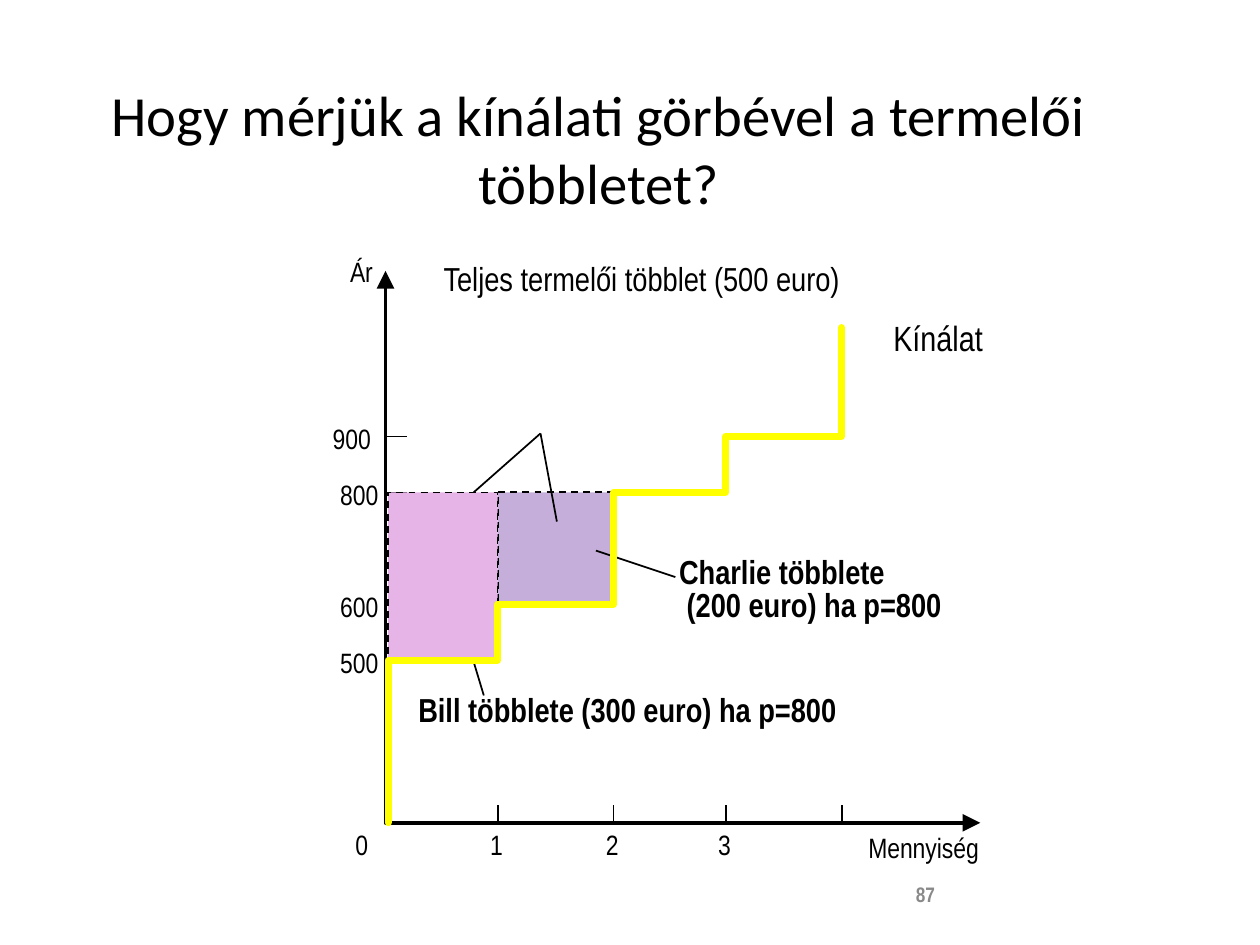
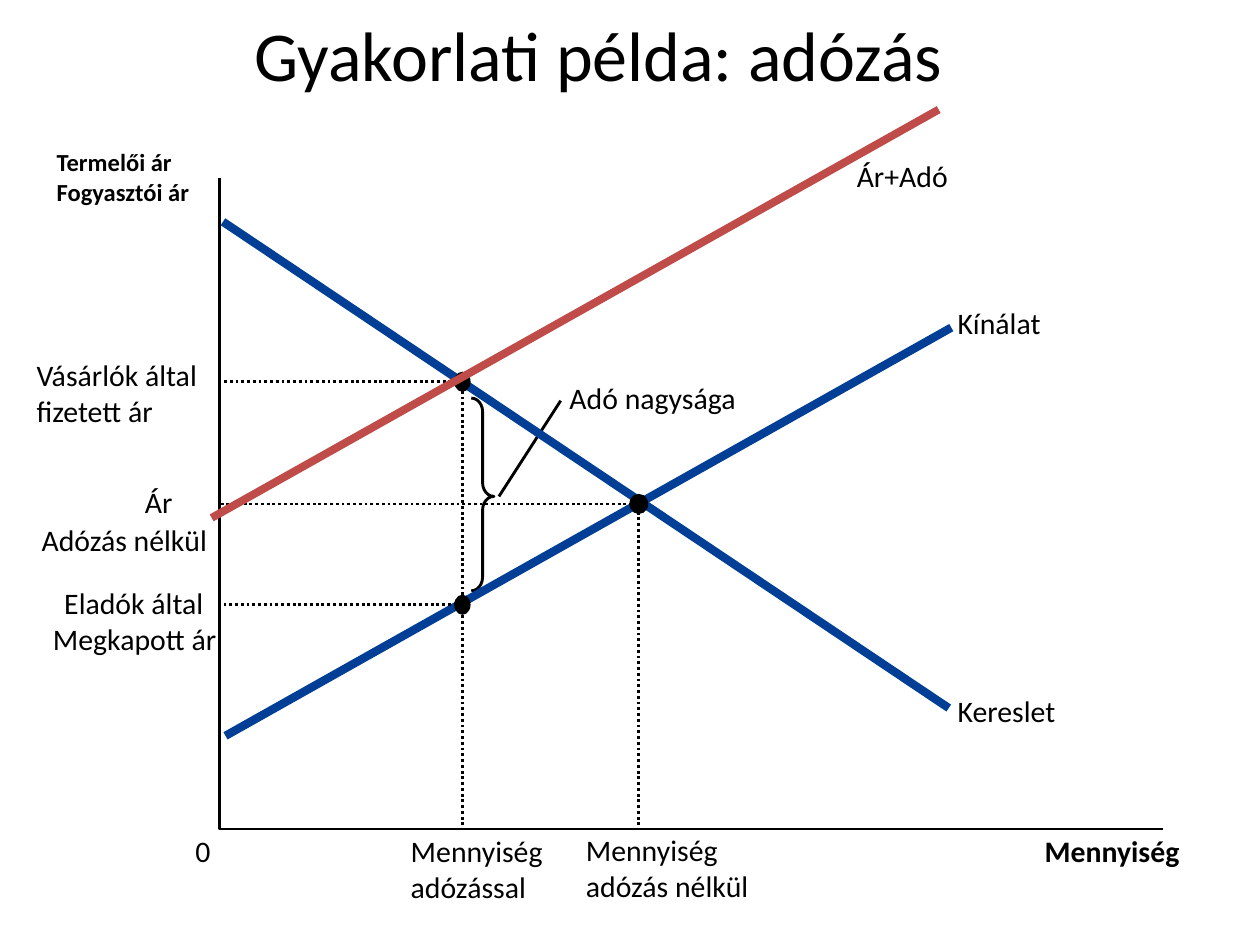
from lxml import etree
from pptx import Presentation
from pptx.dml.color import RGBColor
from pptx.enum.dml import MSO_LINE
from pptx.enum.shapes import MSO_CONNECTOR, MSO_SHAPE
from pptx.enum.text import MSO_ANCHOR, MSO_AUTO_SIZE, PP_ALIGN
from pptx.oxml.ns import qn
from pptx.util import Inches, Pt

LEFT, CENTER, RIGHT = PP_ALIGN.LEFT, PP_ALIGN.CENTER, PP_ALIGN.RIGHT
TOP, MIDDLE = MSO_ANCHOR.TOP, MSO_ANCHOR.MIDDLE
DASH, DOT = MSO_LINE.DASH, MSO_LINE.ROUND_DOT
RECTANGLE, OVAL, BRACE = MSO_SHAPE.RECTANGLE, MSO_SHAPE.OVAL, MSO_SHAPE.RIGHT_BRACE

COLORS = {
    "ink": "000000", "paper": "FFFFFF", "page": "898989",
    "bill": "E6B4E6", "charlie": "C5AED9", "steps": "FFFF00",
    "curve": "003F95", "taxed": "BF4C48",
}
NARROW, SANS = "Arial Narrow", "Calibri"
THIN, AXIS, MEDIUM = 1, 2, 1.63

# Producer surplus: the supply curve rises by one step per unit sold
STEP_PRICES = [500, 600, 800, 900]
STEP_X = [3.08, 3.95, 4.87, 5.76, 6.68]
SUPPLY_TOP, BASE_Y, PRICE_AXIS_X = 2.6, 6.53, 3.06
MARKET_PRICE = 800
PRICE_LABELS = [(500, 2.7), (600, 2.7), (800, 2.7), (900, 2.64)]
QUANTITY_LABELS = [("0", 2.82), ("1", 3.89), ("2", 4.81), ("3", 5.7)]
AXIS_NAMES = [("Mennyiség", (6.77, 6.63, 1.0, 0.23)), ("Ár", (2.56, 2.06, 0.4, 0.23))]
BILL = ("Bill többlete (300 euro) ha p=800", (3.32, 5.52, 3.49, 0.28))
CHARLIE = ("Charlie többlete\n (200 euro) ha p=800", (5.39, 4.42, 2.1, 0.54))
TOTAL = ("Teljes termelői többlet (500 euro)", (3.52, 2.1, 3.29, 0.27))
SUPPLY = ("Kínálat", (7.09, 2.51, 0.72, 0.34))
BILL_POINTER = ((3.68, 4.99), (3.84, 5.52))
CHARLIE_POINTER = ((4.73, 4.37), (5.36, 4.58))
TOTAL_POINTERS = [((4.29, 3.44), (3.53, 4.11)), ((4.29, 3.44), (4.42, 4.14))]

# Taxation: curves, equilibrium points and their labels
ORIGIN, PRICE_TOP, QUANTITY_END = (1.74, 6.58), 1.41, 9.23
GUIDE_BASE = 6.55
DEMAND_CURVE = ((1.77, 1.76), (7.53, 5.62))
SUPPLY_CURVE = ((7.55, 2.6), (1.79, 5.84))
TAXED_CURVE = ((7.45, 0.87), (1.68, 4.11))
UNTAXED, BUYERS, SELLERS = (5.07, 4.0), (3.67, 3.03), (3.67, 4.8)
DOTS = [(UNTAXED, 0.15), (BUYERS, 0.13), (SELLERS, 0.13)]
TAX_POINTER = ((3.96, 3.94), (4.45, 3.18))
TAX_LABELS = [  # text, box, size, bold
    ("Adó nagysága", (4.52, 3.01, 1.33, 0.29), 17, False),
    ("Mennyiség", (8.29, 6.61, 1.08, 0.29), 17, True),
    ("0", (1.55, 6.61, 0.12, 0.29), 17, False),
    ("Termelői ár\nFogyasztói ár", (0.45, 1.17, 1.06, 0.47), 14, True),
    ("Eladók által", (0.51, 4.64, 1.11, 0.29), 17, False),
    ("Megkapott ár", (0.42, 4.93, 1.31, 0.29), 17, False),
    ("Kereslet", (7.6, 5.5, 0.78, 0.29), 17, False),
    ("Kínálat", (7.6, 2.42, 0.66, 0.29), 17, False),
    ("Ár", (1.15, 3.84, 0.28, 0.69), 17, False),
    ("Adózás nélkül", (0.33, 4.14, 1.32, 0.29), 17, False),
    ("Mennyiség\nadózás nélkül", (4.65, 6.6, 1.3, 0.57), 17, False),
    ("Mennyiség\nadózással", (3.26, 6.61, 1.05, 0.57), 17, False),
    ("Ár+Adó", (6.8, 1.25, 0.73, 0.29), 17, False),
]
BUYERS_LABEL = ("Vásárlók által fizetett ár", (0.29, 2.83, 1.46, 0.57))


def rgb(name):
    return RGBColor.from_string(COLORS[name])


def inches(values):
    return [Inches(v) for v in values]


def style_line(shape, color, width, dash=None):
    shape.line.color.rgb = rgb(color)
    shape.line.width = Pt(width)
    if dash is not None:
        shape.line.dash_style = dash


def write(slide, text, box, size, font, bold=False, color="ink", align=LEFT,
          spacing=None, wrap=False, anchor=TOP, margins=(0, 0), grow=True):
    """Add a text box with one paragraph per line of text."""
    frame = slide.shapes.add_textbox(*inches(box)).text_frame
    frame.word_wrap = wrap
    frame.auto_size = MSO_AUTO_SIZE.SHAPE_TO_FIT_TEXT if grow else MSO_AUTO_SIZE.NONE
    frame.vertical_anchor = anchor
    frame.margin_left = frame.margin_right = Inches(margins[0])
    frame.margin_top = frame.margin_bottom = Inches(margins[1])
    for number, line in enumerate(text.split("\n")):
        paragraph = frame.add_paragraph() if number else frame.paragraphs[0]
        paragraph.alignment = align
        if spacing:
            paragraph.line_spacing = spacing
        run = paragraph.add_run()
        run.text = line
        run.font.size, run.font.name, run.font.bold = Pt(size), font, bold
        run.font.color.rgb = rgb(color)


def write_title(slide, text, top, size, anchor, spacing=None):
    write(slide, text, (0.5, top, 8.5, 1.25), size, SANS, align=CENTER, spacing=spacing,
          wrap=True, anchor=anchor, margins=(0.1, 0.05), grow=False)


def draw_line(slide, ends, color="ink", width=THIN, dash=None):
    start, end = ends
    line = slide.shapes.add_connector(MSO_CONNECTOR.STRAIGHT, *inches(start + end))
    style_line(line, color, width, dash)
    etree.SubElement(line._element.spPr, qn("a:effectLst"))


def draw_path(slide, points, color="ink", width=MEDIUM, dash=None, arrows=False, round_cap=False):
    """Draw an open, unfilled outline through the points."""
    start, *rest = [inches(point) for point in points]
    builder = slide.shapes.build_freeform(*start)
    builder.add_line_segments(rest, close=False)
    shape = builder.convert_to_shape()
    shape.shadow.inherit = False
    shape.fill.background()
    style_line(shape, color, width, dash)
    outline = shape._element.spPr.find(qn("a:ln"))
    if round_cap:
        outline.set("cap", "rnd")
        etree.SubElement(outline, qn("a:round"))
    if arrows:
        for end in ("a:headEnd", "a:tailEnd"):
            etree.SubElement(outline, qn(end), type="triangle", w="lg", len="lg")


def draw_shape(slide, kind, box, fill=None, line=None, width=THIN, dash=None):
    shape = slide.shapes.add_shape(kind, *inches(box))
    shape.shadow.inherit = False
    if fill:
        shape.fill.solid()
        shape.fill.fore_color.rgb = rgb(fill)
    else:
        shape.fill.background()
    if line:
        style_line(shape, line, width, dash)
    else:
        shape.line.fill.background()
    return shape


def price_y(price):
    return 5.24 - (price - 500) * 0.00444


def surplus_box(unit):
    """Area between the market price and the cost of the given unit."""
    left, top = STEP_X[unit], price_y(MARKET_PRICE)
    return left, top, STEP_X[unit + 1] - left, price_y(STEP_PRICES[unit]) - top


def build_surplus(slide):
    write(slide, "87", (7.17, 6.95, 2.33, 0.4), 12, NARROW, bold=True, color="page",
          wrap=True, margins=(0.1, 0.05), grow=False)
    for name, box in AXIS_NAMES:
        write(slide, name, box, 16, NARROW, align=RIGHT, spacing=0.85, wrap=True)
    for price, left in PRICE_LABELS:
        y = price_y(price)
        write(slide, str(price), (left, y - 0.12, 0.31, 0.27), 16, NARROW)
        draw_line(slide, ((3.23, y), (PRICE_AXIS_X, y)))
    for quantity, left in QUANTITY_LABELS:
        write(slide, quantity, (left, 6.57, 0.1, 0.27), 16, NARROW)
    for x in STEP_X[1:]:
        draw_line(slide, ((x, 6.39), (x, 6.52)))
    draw_path(slide, [(PRICE_AXIS_X, 2.15), (PRICE_AXIS_X, BASE_Y), (7.78, BASE_Y)],
              width=AXIS, arrows=True)

    draw_line(slide, BILL_POINTER)
    write(slide, *BILL, 19, NARROW, bold=True, spacing=0.85, wrap=True)
    draw_shape(slide, RECTANGLE, surplus_box(1), "charlie", "ink", THIN, DASH)
    draw_line(slide, CHARLIE_POINTER)
    write(slide, *CHARLIE, 19, NARROW, bold=True, spacing=0.85)
    for pointer in TOTAL_POINTERS:
        draw_line(slide, pointer)
    write(slide, *TOTAL, 19, NARROW, spacing=0.85, wrap=True)
    draw_shape(slide, RECTANGLE, surplus_box(0), "bill", "ink", THIN, DASH)
    write(slide, *SUPPLY, 20, NARROW)

    steps = [(STEP_X[0], BASE_Y)]
    for unit, price in enumerate(STEP_PRICES):
        steps += [(STEP_X[unit], price_y(price)), (STEP_X[unit + 1], price_y(price))]
    steps.append((STEP_X[-1], SUPPLY_TOP))
    draw_path(slide, steps, "steps", 4, round_cap=True)
    write_title(slide, "Hogy mérjük a kínálati görbével a termelői többletet?", 0.55, 32.4, MIDDLE)


def build_taxation(slide):
    write_title(slide, "Gyakorlati példa: adózás", 0.17, 40, TOP, spacing=0.8)
    axis_x, axis_y = ORIGIN
    draw_path(slide, [(axis_x, PRICE_TOP), ORIGIN, (QUANTITY_END, axis_y)])
    brace = draw_shape(slide, BRACE, (3.74, 3.16, 0.18, 1.53), line="ink", width=MEDIUM)
    brace.adjustments[0], brace.adjustments[1] = 0.6, 0.51
    draw_line(slide, TAX_POINTER, width=MEDIUM)
    for curve in (DEMAND_CURVE, SUPPLY_CURVE):
        draw_line(slide, curve, "curve", 4.75)
    for x, y in (UNTAXED, BUYERS):
        draw_path(slide, [(x, GUIDE_BASE), (x, y), (axis_x, y)], dash=DOT)
    draw_line(slide, (SELLERS, (axis_x, SELLERS[1])), width=MEDIUM, dash=DOT)
    for (x, y), width in DOTS:
        draw_shape(slide, OVAL, (x - width / 2, y - 0.08, width, 0.16), "ink")
    draw_line(slide, TAXED_CURVE, "taxed", 4.5)
    for text, box, size, bold in TAX_LABELS:
        write(slide, text, box, size, SANS, bold=bold)
    write(slide, *BUYERS_LABEL, 17, SANS, wrap=True)


def main():
    deck = Presentation()
    deck.slide_width, deck.slide_height = Inches(10), Inches(7.5)
    for build in (build_surplus, build_taxation):
        slide = deck.slides.add_slide(deck.slide_layouts[6])
        slide.background.fill.solid()
        slide.background.fill.fore_color.rgb = rgb("paper")
        build(slide)
    deck.save("out.pptx")


if __name__ == "__main__":
    main()
